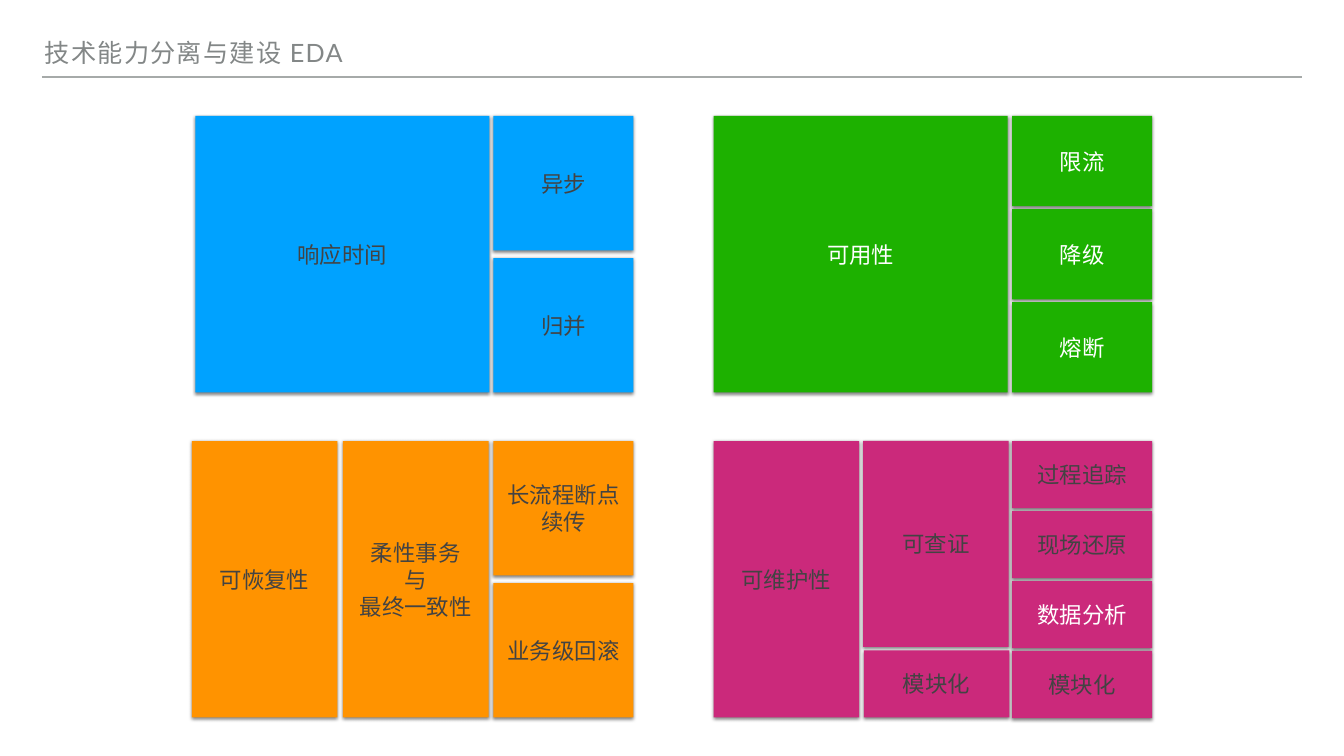
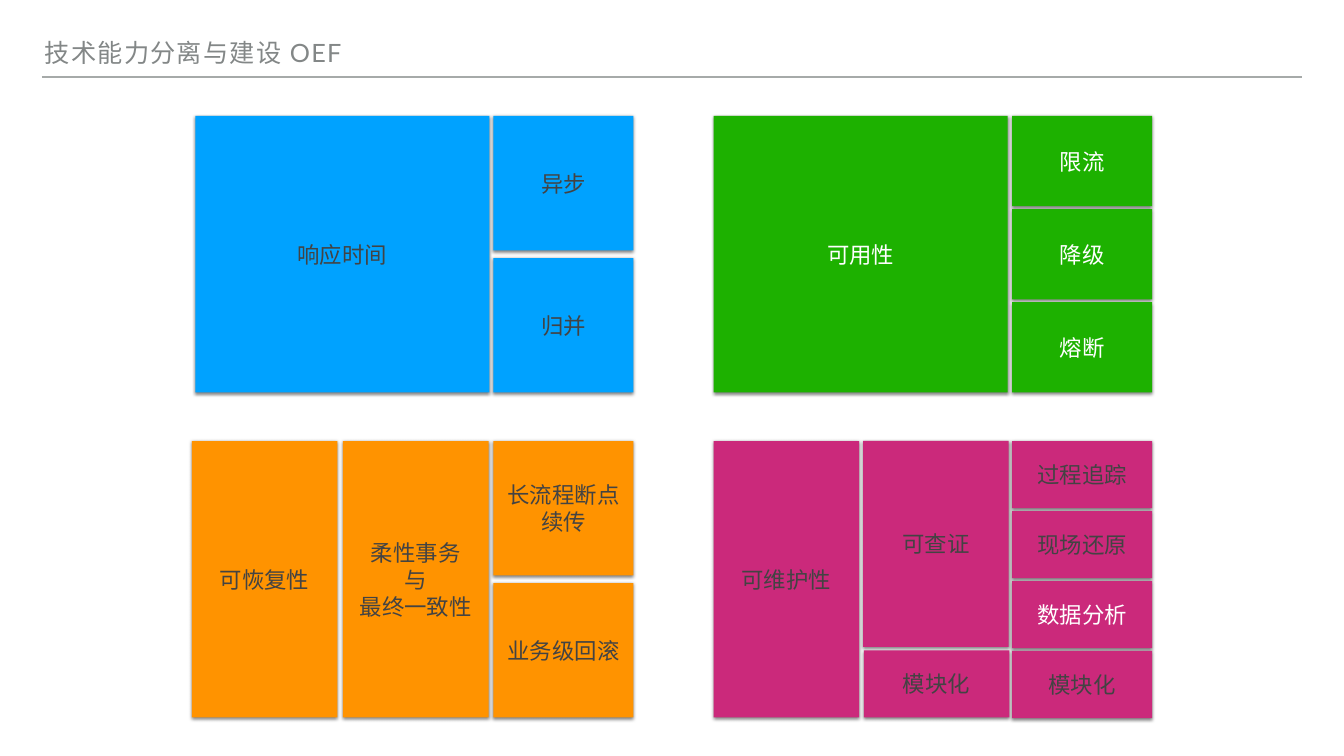
"""Build two slides that map technical abilities as coloured block groups."""
from lxml import etree
from pptx import Presentation
from pptx.dml.color import RGBColor
from pptx.enum import shapes, text
from pptx.oxml import ns
from pptx.util import Pt

WHITE = RGBColor(0xFF, 0xFF, 0xFF)
DARK = RGBColor(0x43, 0x43, 0x43)
GREY = RGBColor(0x83, 0x87, 0x87)
RULE = RGBColor(0xA6, 0xAA, 0xA9)
BLUE = RGBColor(0x00, 0xA2, 0xFF)
GREEN = RGBColor(0x1D, 0xB1, 0x00)
ORANGE = RGBColor(0xFF, 0x93, 0x00)
PINK = RGBColor(0xCB, 0x29, 0x7B)

INSET = 4
TOP, LOW = 165.6, 630
TALL, WIDE, HALF, SIDE = 395, 420, 208, 200
LEFT, RIGHT = 705, 1446
MAIN = 1019.5


def set_frame(frame, anchor):
    """Set the margins, wrapping and anchor of a text frame."""
    frame.margin_left = frame.margin_right = Pt(INSET)
    frame.margin_top = frame.margin_bottom = Pt(INSET)
    frame.word_wrap = True
    frame.auto_size = text.MSO_AUTO_SIZE.NONE
    frame.vertical_anchor = anchor


def set_font(font, name, size, color):
    """Set the face, size and colour of a font."""
    font.name = name
    font.size = Pt(size)
    font.color.rgb = color


def add_shade(shape):
    """Give a shape a soft shadow straight below it."""
    shape.shadow.inherit = False
    effects = shape._element.spPr.find(ns.qn("a:effectLst"))
    shade = etree.SubElement(effects, ns.qn("a:outerShdw"), blurRad=str(Pt(5)),
                             dist=str(Pt(2)), dir="5400000", rotWithShape="0")
    color = etree.SubElement(shade, ns.qn("a:srgbClr"), val="000000")
    etree.SubElement(color, ns.qn("a:alpha"), val="50000")


def add_title(slide, words):
    """Fill the title and draw the rule below it."""
    title = slide.shapes.title
    title.left, title.top, title.width, title.height = Pt(60), Pt(42), Pt(1650), Pt(58)
    frame = title.text_frame
    frame.text = words
    set_frame(frame, text.MSO_ANCHOR.BOTTOM)
    para = frame.paragraphs[0]
    para.alignment = text.PP_ALIGN.LEFT
    para.line_spacing = 0.8
    for run in para.runs:
        set_font(run.font, "Lato", 36, GREY)
        run._r.get_or_add_rPr().set("spc", "180")
    rule = slide.shapes.add_connector(
        shapes.MSO_CONNECTOR.STRAIGHT, Pt(60), Pt(110), Pt(1860), Pt(110))
    rule.line.color.rgb = RULE
    rule.line.width = Pt(2)
    etree.SubElement(rule._element.spPr, ns.qn("a:effectLst"))


def add_block(slide, words, x, y, w, h, fill, color=DARK):
    """Add one filled block with centred words."""
    block = slide.shapes.add_shape(
        shapes.MSO_SHAPE.RECTANGLE, Pt(x), Pt(y), Pt(w), Pt(h))
    add_shade(block)
    block.fill.solid()
    block.fill.fore_color.rgb = fill
    block.line.fill.background()
    frame = block.text_frame
    frame.text = words
    set_frame(frame, text.MSO_ANCHOR.MIDDLE)
    for para in frame.paragraphs:
        para.alignment = text.PP_ALIGN.CENTER
        for run in para.runs:
            set_font(run.font, "Arial", 32, color)


def add_stack(slide, items, x, y, h, step, fill, color=DARK, light=()):
    """Add a column of equal blocks, with the light items in white."""
    for row, words in enumerate(items):
        ink = WHITE if words in light else color
        add_block(slide, words, x, y + row * step, SIDE, h, fill, ink)


def add_groups(slide):
    """Add the four groups of abilities."""
    add_block(slide, "可恢复性", 274, LOW, HALF, TALL, ORANGE)
    add_block(slide, "柔性事务\n与\n最终一致性", 490, LOW, HALF, TALL, ORANGE)
    add_stack(slide, ["长流程断点续传", "业务级回滚"], LEFT, LOW, 192, 203, ORANGE)

    add_block(slide, "可用性", MAIN, TOP, WIDE, TALL, GREEN, WHITE)
    add_stack(slide, ["限流", "降级", "熔断"], RIGHT, TOP, 129, 133, GREEN, WHITE)

    add_block(slide, "响应时间", 279, TOP, WIDE, TALL, BLUE)
    add_stack(slide, ["异步", "归并"], LEFT, TOP, 192, 203, BLUE)

    add_stack(slide, ["过程追踪", "现场还原", "数据分析", "模块化"],
              RIGHT, LOW, 96, 100, PINK, light=["数据分析"])
    add_block(slide, "可维护性", MAIN, LOW, HALF, TALL, PINK)
    add_block(slide, "可查证", 1233, LOW, HALF, 294, PINK)
    add_block(slide, "模块化", 1234, 929, HALF, 96, PINK)


def main():
    """Build and save the deck."""
    deck = Presentation()
    deck.slide_width, deck.slide_height = Pt(1920), Pt(1080)
    for name in ("EDA", "OEF"):
        slide = deck.slides.add_slide(deck.slide_layouts[5])
        add_title(slide, f"技术能力分离与建设 {name}")
        add_groups(slide)
    deck.save("out.pptx")


if __name__ == "__main__":
    main()
